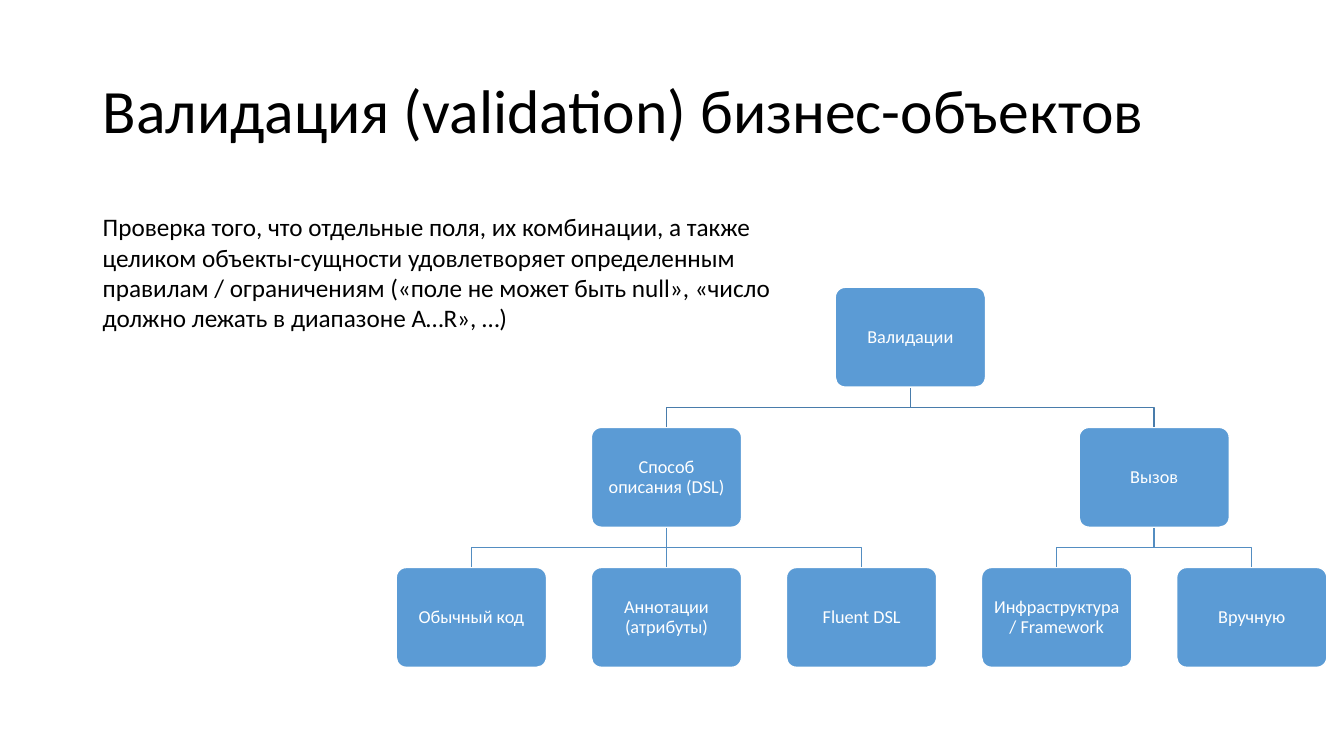
from dataclasses import dataclass

from lxml.etree import SubElement
from pptx import Presentation
from pptx.dml.color import RGBColor
from pptx.enum.shapes import MSO_CONNECTOR, MSO_SHAPE
from pptx.enum.text import MSO_ANCHOR as Anchor, PP_ALIGN as Align
from pptx.oxml.ns import qn
from pptx.util import Inches, Pt


@dataclass(frozen=True)
class Theme:
    """Colours, font and type sizes of the slide."""
    font: str = "Calibri"
    ink: str = "000000"
    paper: str = "FFFFFF"
    node: str = "5B9BD5"
    links: tuple = ("497CAB", "538DC1")
    title_size: int = 44
    body_size: int = 18
    node_size: int = 13
    line_width: int = 1


THEME = Theme()
TITLE = "Валидация (validation) бизнес-объектов"
DEFINITION = (
    "Проверка того, что отдельные поля, их комбинации, а также целиком "
    "объекты-сущности удовлетворяет определенным правилам / ограничениям "
    "(«поле не может быть null», «число должно лежать в диапазоне A…R», …)"
)
TREE = ("Валидации", [
    ("Способ описания (DSL)", [
        ("Обычный код", []),
        ("Аннотации (атрибуты)", []),
        ("Fluent DSL", []),
    ]),
    ("Вызов", [
        ("Инфраструктура / Framework", []),
        ("Вручную", []),
    ]),
])
NODE_WIDTH, NODE_HEIGHT, NODE_INSET = 1.49, 0.99, 0.08


def write(frame, text, size, color):
    """Fill a text frame with one wrapped paragraph and return it."""
    frame.word_wrap = True
    para = frame.paragraphs[0]
    para.text = text
    para.font.name = THEME.font
    para.font.size = Pt(size)
    para.font.color.rgb = RGBColor.from_string(color)
    return para


def add_text(page, box, text, size, anchor=Anchor.TOP, spacing=1.0):
    """Place a text block in the given box."""
    frame = page.shapes.add_textbox(*map(Inches, box)).text_frame
    write(frame, text, size, THEME.ink).line_spacing = spacing
    frame.vertical_anchor = anchor


def add_node(page, center, top, label):
    """Place a rounded tree node centred on the given x."""
    box = (center - NODE_WIDTH / 2, top, NODE_WIDTH, NODE_HEIGHT)
    node = page.shapes.add_shape(MSO_SHAPE.ROUNDED_RECTANGLE, *map(Inches, box))
    node.shadow.inherit = False
    node.adjustments[0] = 0.1
    node.fill.solid()
    node.fill.fore_color.rgb = RGBColor.from_string(THEME.node)
    node.line.color.rgb = RGBColor.from_string(THEME.paper)
    node.line.width = Pt(THEME.line_width)
    frame = node.text_frame
    frame.margin_left = frame.margin_right = Inches(NODE_INSET)
    frame.margin_top = frame.margin_bottom = Inches(NODE_INSET)
    frame.vertical_anchor = Anchor.MIDDLE
    para = write(frame, label, THEME.node_size, THEME.paper)
    para.alignment = Align.CENTER
    para.line_spacing = 0.9


def add_link(page, start, end, color):
    """Join a parent to a child, with a bend halfway if they are not aligned."""
    (x1, y1), (x2, y2) = start, end
    if abs(x1 - x2) < 0.01:
        link = page.shapes.add_connector(
            MSO_CONNECTOR.STRAIGHT, *map(Inches, (x1, y1, x1, y2)))
        SubElement(link._element.spPr, qn("a:effectLst"))
    else:
        middle = (y1 + y2) / 2
        outline = page.shapes.build_freeform(Inches(x1), Inches(y1))
        bends = [(x1, middle), (x2, middle), (x2, y2)]
        outline.add_line_segments(
            [(Inches(x), Inches(y)) for x, y in bends], close=False)
        link = outline.convert_to_shape()
        link.shadow.inherit = False
        link.fill.background()
    link.line.color.rgb = RGBColor.from_string(color)
    link.line.width = Pt(THEME.line_width)


def count_leaves(branch):
    """Count the lowest nodes of a branch."""
    return sum(map(count_leaves, branch[1])) or 1


def add_tree(page, box, branch, pitch, step, level=0):
    """Draw a branch from the box's top left and return its node's centre."""
    left, top = box
    label, children = branch
    centers = []
    for child in children:
        centers.append(
            add_tree(page, (left, top + step), child, pitch, step, level + 1))
        left += count_leaves(child) * pitch
    center = sum(centers) / len(centers) if centers else left + NODE_WIDTH / 2
    for child_center in centers:
        add_link(page, (center, top + NODE_HEIGHT), (child_center, top + step),
                 THEME.links[level])
    add_node(page, center, top, label)
    return center


def build_page(deck):
    """Add the slide with its title, definition and tree."""
    page = deck.slides.add_slide(deck.slide_layouts[6])
    add_text(page, (0.92, 0.4, 11.5, 1.45), TITLE, THEME.title_size,
             Anchor.MIDDLE, 0.9)
    add_text(page, (0.92, 2.05, 7.02, 1.31), DEFINITION, THEME.body_size)
    add_tree(page, (3.93, 2.85), TREE, pitch=1.935, step=1.39)


def main():
    """Build and save the deck."""
    deck = Presentation()
    deck.slide_width, deck.slide_height = Inches(13.33), Inches(7.5)
    build_page(deck)
    deck.save("out.pptx")


if __name__ == "__main__":
    main()
